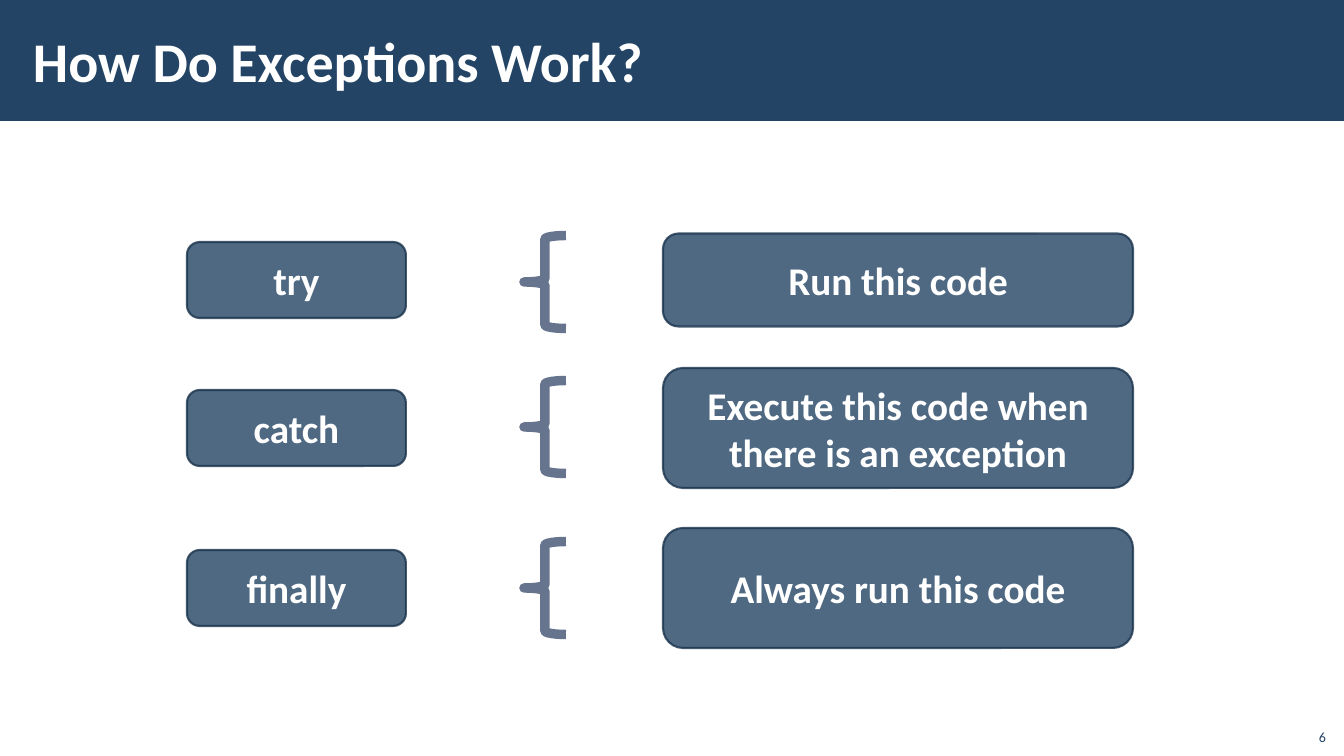
from dataclasses import dataclass

from lxml.etree import SubElement
from pptx import Presentation
from pptx.dml.color import RGBColor
from pptx.enum.shapes import MSO_SHAPE as Shape
from pptx.enum.text import MSO_ANCHOR as Anchor, MSO_AUTO_SIZE as AutoSize, PP_ALIGN as Align
from pptx.oxml.ns import qn
from pptx.util import Emu, Pt


@dataclass(frozen=True)
class Theme:
    font: str = "Calibri"
    navy: RGBColor = RGBColor(0x23, 0x44, 0x65)
    outline: RGBColor = RGBColor(0x1A, 0x33, 0x4C)
    brace: RGBColor = RGBColor(0x67, 0x74, 0x8E)
    white: RGBColor = RGBColor(0xFF, 0xFF, 0xFF)
    title_size: int = 40
    box_size: int = 28
    number_size: int = 10
    box_opacity: int = 80


theme = Theme()
EMU_PER_PX = 914400 / 100.8


def px(*lengths):
    return [Emu(round(n * EMU_PER_PX)) for n in lengths]


def write(sp, text, size, color, align, anchor, bold=True):
    tf = sp.text_frame
    tf.text = text
    tf.word_wrap = True
    tf.auto_size = AutoSize.NONE
    tf.vertical_anchor = anchor
    p = tf.paragraphs[0]
    p.alignment = align
    font = p.runs[0].font
    font.name, font.size, font.bold = theme.font, Pt(size), bold
    font.color.rgb = color


prs = Presentation()
prs.slide_width, prs.slide_height = px(1344, 756)
s = prs.slides.add_slide(prs.slide_layouts[5])

# Title on its bar
title = s.shapes.title
title.left, title.top, title.width, title.height = px(21, 11, 1072, 98)
write(title, "How Do Exceptions Work?", theme.title_size, theme.white, Align.LEFT, Anchor.MIDDLE)
tf = title.text_frame
tf.margin_left, tf.margin_right, tf.margin_top, tf.margin_bottom = px(12, 12, 4, 4)

bar = s.shapes.add_shape(Shape.RECTANGLE, *px(0, 0, 1344, 121))
bar.shadow.inherit = False
bar.fill.solid()
bar.fill.fore_color.rgb = theme.navy
bar.line.fill.background()
title.element.addprevious(bar.element)

# Keyword, brace and meaning, row by row
TAG_HEIGHT = 76
BRACE_HEIGHT = 93
rows = [  # keyword, meaning, row centre, brace centre, meaning height
    ("try", "Run this code", 280, 282, 93),
    ("catch", "Execute this code when there is an exception", 428, 427, 120),
    ("finally", "Always run this code", 588, 588, 120),
]
for keyword, meaning, centre, brace_centre, meaning_height in rows:
    for text, left, width, height in [
        (keyword, 187, 219, TAG_HEIGHT),
        (meaning, 663, 470, meaning_height),
    ]:
        box = s.shapes.add_shape(
            Shape.ROUNDED_RECTANGLE, *px(left, centre - height / 2, width, height)
        )
        box.shadow.inherit = False
        box.fill.solid()
        box.fill.fore_color.rgb = theme.navy
        box.line.color.rgb = theme.outline
        box.line.width = Pt(1.5)
        for color in box.element.spPr.iter(qn("a:srgbClr")):
            SubElement(color, qn("a:alpha"), val=str(theme.box_opacity * 1000))
        write(box, text, theme.box_size, theme.white, Align.CENTER, Anchor.MIDDLE)

    brace = s.shapes.add_shape(
        Shape.LEFT_BRACE, *px(524, brace_centre - BRACE_HEIGHT / 2, 42, BRACE_HEIGHT)
    )
    brace.shadow.inherit = False
    brace.fill.background()
    brace.line.color.rgb = theme.brace
    brace.line.width = Pt(6.75)

number = s.shapes.add_textbox(*px(1296, 718, 40, 32))
write(number, "6", theme.number_size, theme.navy, Align.RIGHT, Anchor.BOTTOM, bold=False)

prs.save("out.pptx")
